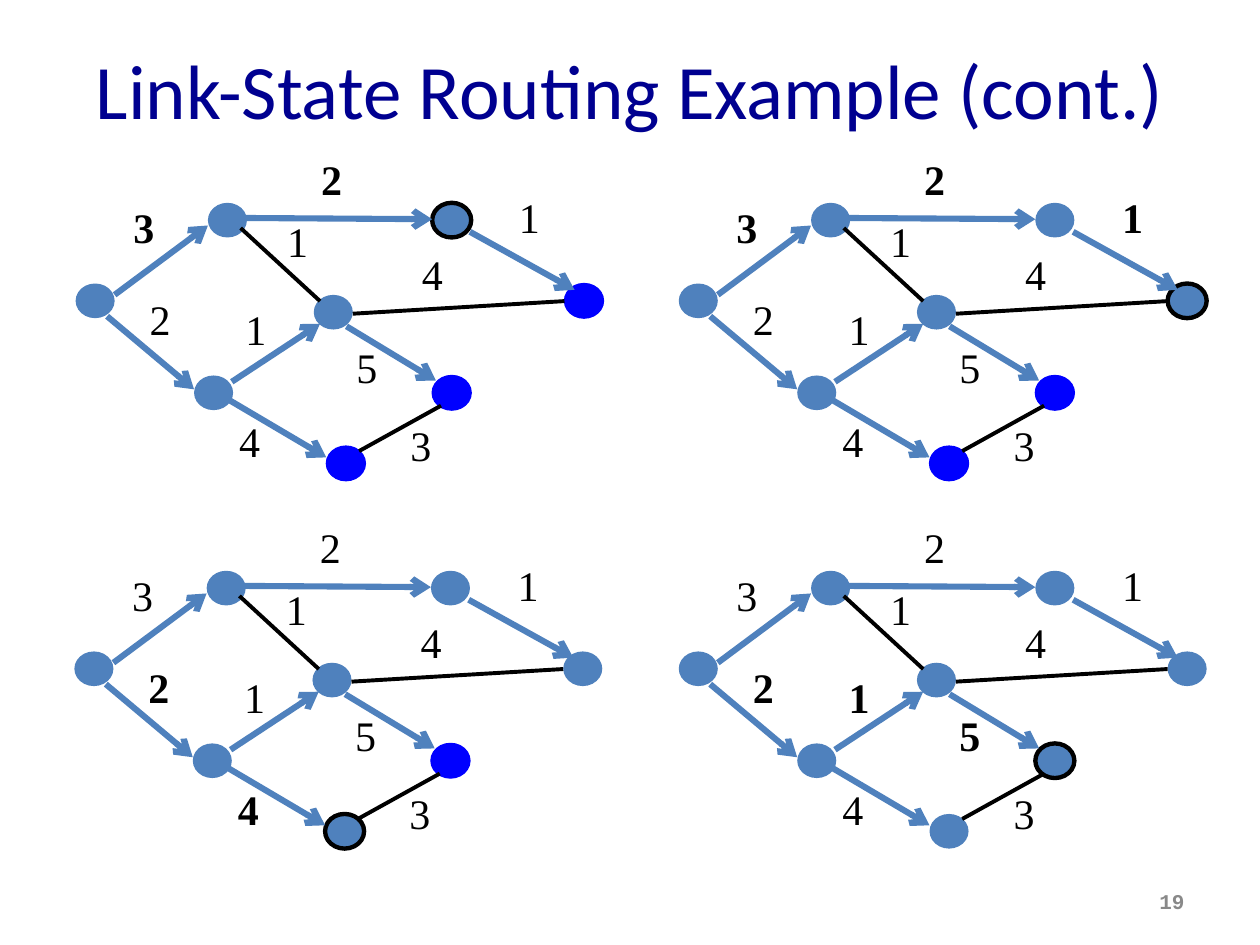
from lxml.etree import SubElement
from pptx import Presentation
from pptx.dml.color import RGBColor
from pptx.enum.shapes import MSO_CONNECTOR, MSO_SHAPE
from pptx.enum.text import MSO_ANCHOR, MSO_AUTO_SIZE, PP_ALIGN
from pptx.oxml.ns import qn
from pptx.util import Inches, Pt

COLS, ROWS = 100, 75
STEEL, BLUE, BLACK = "4F81BD", "0000FF", "000000"

NODES = {
    "u": (6, 22.5), "w": (15.4, 29.8), "v": (16.5, 16.1), "x": (24.9, 23.4),
    "t": (34.3, 29.8), "y": (34.3, 16.1), "s": (25.9, 35.4), "z": (44.8, 22.5),
}
LINKS = {
    "uv": (9.1, 23.4, 16.5, 17.9), "uw": (8.5, 25.1, 15.4, 30.9),
    "vx": (19.1, 18.1, 25.4, 23.9), "ws": (18.1, 31.7, 25.9, 36.3),
    "wx": (18.4, 30.3, 25.4, 25.7), "xt": (27.5, 25.9, 34.6, 30.2),
    "st": (28.5, 35.8, 35, 32.2), "xz": (28, 24.9, 44.8, 23.9),
    "vy": (19.3, 17.3, 34.3, 17.4), "yz": (37.3, 18.4, 45.6, 23),
}
PLAIN = {"vx", "st", "xz"}
COSTS = {
    "uv": ("3", 9.6, 15.5), "vy": ("2", 24.5, 11.7), "uw": ("2", 10.9, 22.8),
    "vx": ("1", 21.8, 16.6), "wx": ("1", 18.5, 23.6), "xz": ("4", 32.5, 19.2),
    "yz": ("1", 40.2, 14.7), "ws": ("4", 18, 32.5), "xt": ("5", 27.3, 26.6),
    "st": ("3", 31.6, 32.8),
}
STEPS = [
    (0, 0, "y", "tsz", {"uv", "vy"}),
    (47.87, 0, "z", "ts", {"uv", "vy", "yz"}),
    (-0.1, 29.2, "s", "t", {"uw", "ws"}),
    (47.87, 29.2, "t", "", {"uw", "wx", "xt"}),
]


def hue(code):
    return RGBColor.from_string(code)


class Deck:
    def __init__(self):
        self.file = Presentation()
        self.file.slide_width, self.file.slide_height = Inches(10), Inches(7.5)
        self.page = self.file.slides.add_slide(self.file.slide_layouts[5])

    def grid(self, x, y):
        return (round(self.file.slide_width * x / COLS),
                round(self.file.slide_height * y / ROWS))

    def style(self, frame, text, size, face, color, bold, align):
        par = frame.paragraphs[0]
        par.text, par.alignment = text, align
        font = par.font
        font.size, font.name, font.bold = Pt(size), face, bold
        font.color.rgb = hue(color)

    def title(self, text, x, y, w, h):
        box = self.page.shapes.title
        box.left, box.top = self.grid(x, y)
        box.width, box.height = self.grid(w, h)
        box.text_frame.vertical_anchor = MSO_ANCHOR.MIDDLE
        self.style(box.text_frame, text, 44, "Calibri", "000090", False,
                   PP_ALIGN.CENTER)

    def number(self, text, x, y, w, h):
        box = self.page.shapes.add_textbox(*self.grid(x, y), *self.grid(w, h))
        box.text_frame.word_wrap = True
        box.text_frame.vertical_anchor = MSO_ANCHOR.MIDDLE
        self.style(box.text_frame, text, 12, "Courier New", "898989", True,
                   PP_ALIGN.RIGHT)

    def node(self, group, x, y, fill, line, width):
        dot = group.shapes.add_shape(
            MSO_SHAPE.OVAL, *self.grid(x, y), *self.grid(3.1, 2.75))
        dot.shadow.inherit = False
        dot.fill.solid()
        dot.fill.fore_color.rgb = hue(fill)
        if line:
            dot.line.color.rgb = hue(line)
            dot.line.width = Pt(width)
        else:
            dot.line.fill.background()

    def link(self, group, x1, y1, x2, y2, arrow):
        edge = group.shapes.add_connector(
            MSO_CONNECTOR.STRAIGHT, *self.grid(x1, y1), *self.grid(x2, y2))
        edge.line.color.rgb = hue(STEEL if arrow else BLACK)
        edge.line.width = Pt(3.5 if arrow else 2.25)
        if arrow:
            SubElement(edge.line._get_or_add_ln(), qn("a:tailEnd"), type="arrow")
        SubElement(edge._element.spPr, qn("a:effectLst"))

    def cost(self, group, text, x, y, bold):
        box = group.shapes.add_textbox(*self.grid(x, y), *self.grid(3.7, 5))
        box.text_frame.word_wrap = False
        box.text_frame.auto_size = MSO_AUTO_SIZE.SHAPE_TO_FIT_TEXT
        self.style(box.text_frame, text, 24, "Times New Roman", BLACK, bold,
                   PP_ALIGN.LEFT)

    def graph(self, dx, dy, ring, open_set, route):
        group = self.page.shapes.add_group_shape()
        for name, (x, y) in NODES.items():
            if name == ring:
                look = STEEL, BLACK, 2.5
            elif name in open_set:
                look = BLUE, BLUE, 0.75
            else:
                look = STEEL, None, 0
            self.node(group, x + dx, y + dy, *look)
        for name, (x1, y1, x2, y2) in LINKS.items():
            self.link(group, x1 + dx, y1 + dy, x2 + dx, y2 + dy,
                      name not in PLAIN)
        for name, (text, x, y) in COSTS.items():
            self.cost(group, text, x + dx, y + dy, name in route)


def main():
    deck = Deck()
    deck.title("Link-State Routing Example (cont.)", 5, 0.8, 90, 12.5)
    for step in STEPS:
        deck.graph(*step)
    deck.number("19", 71.7, 69.5, 23.3, 4)
    deck.file.save("out.pptx")


if __name__ == "__main__":
    main()
